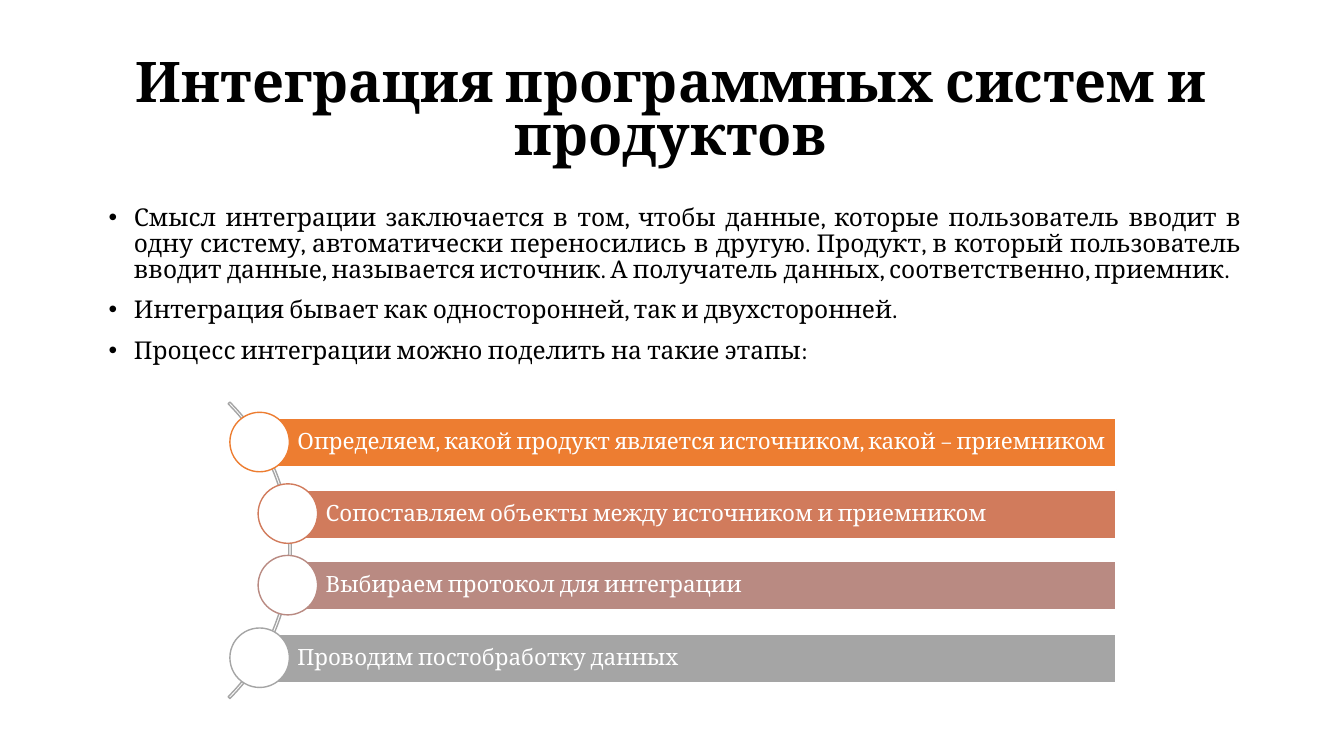
"""Build the slide on integrating software systems and products."""
from lxml import etree
from pptx import Presentation
from pptx.dml.color import RGBColor
from pptx.enum.shapes import MSO_SHAPE
from pptx.enum.text import MSO_ANCHOR, MSO_AUTO_SIZE, PP_ALIGN
from pptx.oxml.ns import qn
from pptx.util import Pt

PX = 9144
FONT = "Cambria"
COLORS = {
    "black": "000000", "white": "FFFFFF", "orange": "ED7D31",
    "terracotta": "D17B5C", "rose": "B98A82", "gray": "A5A5A5",
}
ARC, RECTANGLE, OVAL = MSO_SHAPE.BLOCK_ARC, MSO_SHAPE.RECTANGLE, MSO_SHAPE.OVAL
MIDDLE, NO_FIT = MSO_ANCHOR.MIDDLE, MSO_AUTO_SIZE.NONE
LEFT, CENTER, JUSTIFY = PP_ALIGN.LEFT, PP_ALIGN.CENTER, PP_ALIGN.JUSTIFY

POINTS = [
    "Смысл интеграции заключается в том, чтобы данные, которые пользователь вводит в одну систему, "
    "автоматически переносились в другую. Продукт, в который пользователь вводит данные, "
    "называется источник. А получатель данных, соответственно, приемник.",
    "Интеграция бывает как односторонней, так и двухсторонней.",
    "Процесс интеграции можно поделить на такие этапы:",
]
STAGES = [
    ("Определяем, какой продукт является источником, какой – приемником", "orange", 257),
    ("Сопоставляем объекты между источником и приемником", "terracotta", 285),
    ("Выбираем протокол для интеграции", "rose", 285),
    ("Проводим постобработку данных", "gray", 257),
]
BARS_TOP, BARS_RIGHT, BAR_HEIGHT, BARS_SPAN = 415, 1107, 48, 214
CIRCLE_SIZE = 59


def write(para, text, size, color, bold=False, **paragraph_format):
    for name, value in paragraph_format.items():
        setattr(para, name, value)
    span = para.add_run()
    span.text = text
    for name, value in {"name": FONT, "size": Pt(size), "bold": bold}.items():
        setattr(span.font, name, value)
    span.font.color.rgb = RGBColor.from_string(COLORS[color])


def add_figure(kind, left, top, width, height, line, fill=None):
    figure = page.shapes.add_shape(kind, left * PX, top * PX, width * PX, height * PX)
    figure.shadow.inherit = False
    figure.line.width = Pt(1)
    figure.line.color.rgb = RGBColor.from_string(COLORS[line])
    if fill:
        figure.fill.solid()
        figure.fill.fore_color.rgb = RGBColor.from_string(COLORS[fill])
    else:
        figure.fill.background()
    return figure


deck = Presentation()
deck.slide_width, deck.slide_height = 1333 * PX, 750 * PX
page = deck.slides.add_slide(deck.slide_layouts[5])

title = page.shapes.title
for name, value in {"left": 58, "top": 40, "width": 1215, "height": 145}.items():
    setattr(title, name, value * PX)
for name, value in {"auto_size": NO_FIT, "vertical_anchor": MIDDLE, "word_wrap": True}.items():
    setattr(title.text_frame, name, value)
write(title.text_frame.paragraphs[0], "Интеграция программных систем и продуктов", 40, "black",
      bold=True, alignment=CENTER, line_spacing=0.79)

body = page.shapes.add_textbox(98 * PX, 199 * PX, 1144 * PX, 193 * PX).text_frame
body.word_wrap = True
for index, point in enumerate(POINTS):
    para = body.add_paragraph() if index else body.paragraphs[0]
    write(para, point, 17.5, "black", alignment=JUSTIFY, line_spacing=0.89, space_before=Pt(10))
    properties = para._p.get_or_add_pPr()
    properties.set("marL", str(25 * PX))
    properties.set("indent", str(-25 * PX))
    etree.SubElement(properties, qn("a:buFont"), typeface="Arial")
    etree.SubElement(properties, qn("a:buChar"), char="•")

arc = add_figure(ARC, -127, 338, 416, 416, "gray")
for index, value in enumerate((189, 27, 0.006)):
    arc.adjustments[index] = value

for index, (stage, color, left) in enumerate(STAGES):
    top = BARS_TOP + index * BARS_SPAN // (len(STAGES) - 1)
    bar = add_figure(RECTANGLE, left, top, BARS_RIGHT - left, BAR_HEIGHT, "white", color)
    frame = bar.text_frame
    frame.vertical_anchor, frame.word_wrap = MIDDLE, True
    for side, inset in {"left": 38, "top": 4, "right": 4, "bottom": 4}.items():
        setattr(frame, f"margin_{side}", inset * PX)
    write(frame.paragraphs[0], stage, 16, "white", alignment=LEFT, line_spacing=0.9)
    add_figure(OVAL, left - CIRCLE_SIZE // 2, top - (CIRCLE_SIZE - BAR_HEIGHT) // 2 - 1,
               CIRCLE_SIZE, CIRCLE_SIZE, color, "white")

deck.save("out.pptx")
